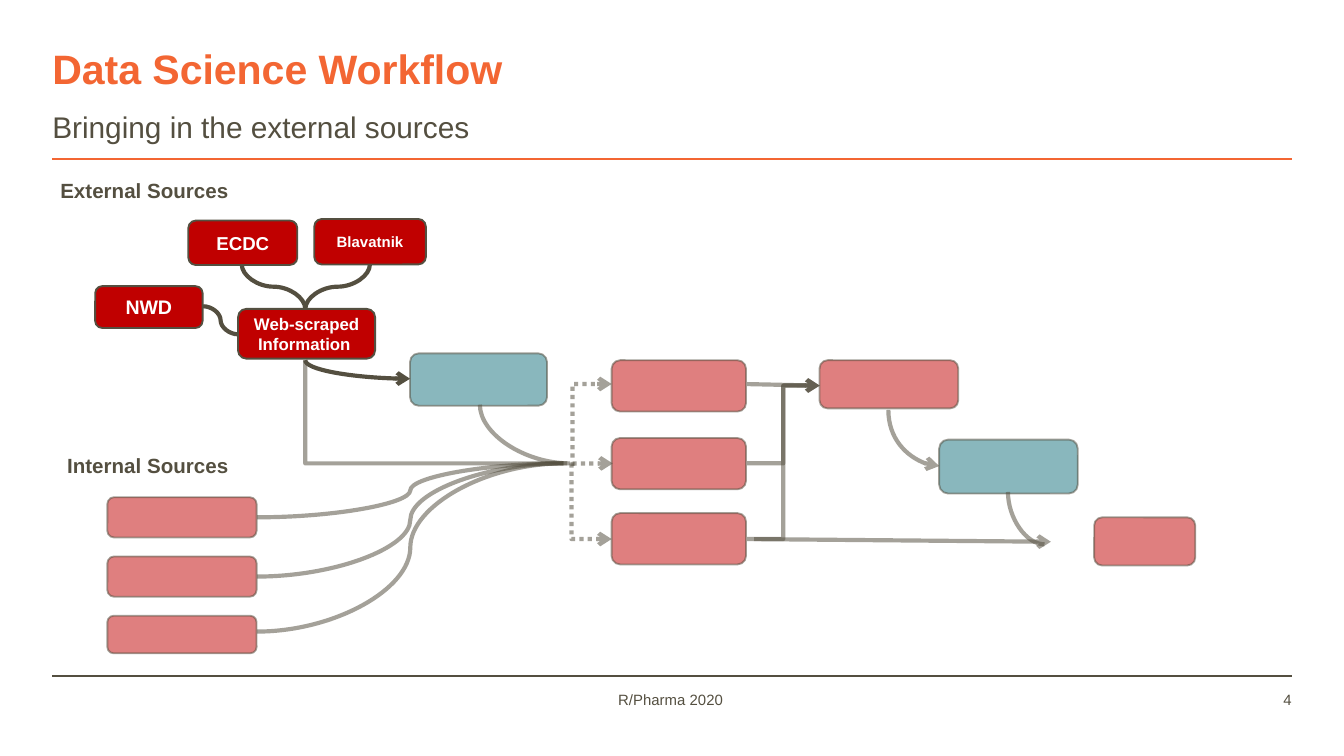
from lxml import etree
from pptx import Presentation
from pptx import util as u
from pptx.dml.color import RGBColor
from pptx.enum import dml, shapes, text
from pptx.oxml import ns

ORANGE, OLIVE, RED, TEAL, WHITE = "F36633", "544F40", "C00000", "15717D", "FFFFFF"
LEFT, MIDDLE, RIGHT = text.PP_ALIGN.LEFT, text.PP_ALIGN.CENTER, text.PP_ALIGN.RIGHT


def paint(fill, color, opacity=100):
    fill.solid()
    fill.fore_color.rgb = RGBColor.from_string(color)
    if opacity < 100:
        rgb = fill._xPr.find(".//" + ns.qn("a:srgbClr"))
        etree.SubElement(rgb, ns.qn("a:alpha")).set("val", str(opacity * 1000))


def write(frame, words, size, color, bold, align, margins, anchor, wrap=True):
    sides = ("margin_left", "margin_top", "margin_right", "margin_bottom")
    layout = dict(zip(sides, map(u.Cm, margins)))
    layout.update(word_wrap=wrap, vertical_anchor=anchor)
    for name, value in layout.items():
        setattr(frame, name, value)
    paragraph = frame.paragraphs[0]
    paragraph.text = words
    paragraph.alignment = align
    for name, value in {"name": "Arial", "size": u.Pt(size), "bold": bold}.items():
        setattr(paragraph.runs[0].font, name, value)
    paint(paragraph.runs[0].font.fill, color)


deck = Presentation()
deck.slide_width, deck.slide_height = u.Cm(25.4), u.Cm(14.29)
slide = deck.slides.add_slide(deck.slide_layouts[6])

# Title, subtitle, footer and group labels
TOP, CENTRE = text.MSO_ANCHOR.TOP, text.MSO_ANCHOR.MIDDLE
flush, subtitle, footer = (0, 0, 0, 0), (0, 0.13, 0.25, 0.13), (0.2, 0, 0.2, 0)
page, label = (0.2, 0, 0, 0), (0.25, 0.13, 0.25, 0.13)
for place, words, size, color, bold, align, margins, anchor, wrap in [
    ((0.99, 0.81, 21.06, 0.94), "Data Science Workflow", 22, ORANGE, True, LEFT, flush, CENTRE, True),
    ((0.99, 1.93, 21.06, 0.76), "Bringing in the external sources", 16, OLIVE, False, LEFT, subtitle, TOP, True),
    ((8.28, 13.06, 8.79, 0.76), "R/Pharma 2020", 8, OLIVE, False, MIDDLE, footer, TOP, True),
    ((22.1, 13.06, 2.31, 0.76), "4", 8, OLIVE, False, RIGHT, page, TOP, True),
    ((0.89, 3.23, 3.84, 0.74), "External Sources", 11, OLIVE, True, LEFT, label, TOP, False),
    ((1.02, 8.43, 3.58, 0.74), "Internal Sources", 11, OLIVE, True, LEFT, label, TOP, False),
]:
    caption = slide.shapes.add_textbox(*map(u.Cm, place))
    write(caption.text_frame, words, size, color, bold, align, margins, anchor, wrap)

# Workflow boxes: the highlighted sources carry a name, the others are faded
steps = [
    (4.5, 5.84, 2.59, 0.94, RED, "Web-scraped Information ", 9),
    (3.56, 4.17, 2.06, 0.84, RED, "ECDC", 10),
    (5.94, 4.14, 2.11, 0.86, RED, "Blavatnik", 8),
    (1.8, 5.41, 2.03, 0.79, RED, "NWD", 10.5),
    (7.75, 6.68, 2.59, 0.99, TEAL, "", 0),
    (17.75, 8.31, 2.62, 1.02, TEAL, "", 0),
    (15.49, 6.81, 2.62, 0.91, RED, "", 0),
    (20.68, 9.78, 1.91, 0.91, RED, "", 0),
]
steps += [(2.03, 9.4 + 1.12 * row, 2.82, height, RED, "", 0)
          for row, height in enumerate((0.76, 0.76, 0.71))]
steps += [(11.56, top, 2.54, 0.97, RED, "", 0) for top in (6.81, 8.28, 9.7)]
for *place, color, name, size in steps:
    step = slide.shapes.add_shape(shapes.MSO_SHAPE.ROUNDED_RECTANGLE, *map(u.Cm, place))
    step.shadow.inherit = False
    paint(step.fill, color, 100 if name else 50)
    paint(step.line.fill, OLIVE, 100 if name else 52)
    step.line.width = u.Pt(1)
    if name:
        write(step.text_frame, name, size, WHITE, True, MIDDLE, (0.2,) * 4, CENTRE)

# Links: from x, y, to x, y, geometry, starts vertically, arrow, dotted, opacity, width, colour
faded, solid = (52, 2.25, OLIVE), (100, 2.25, OLIVE)
links = [
    (0.99, 12.78, 24.41, 12.78, "line", False, False, False, 100, 1, OLIVE),
    (0.99, 3, 24.41, 3, "line", False, False, False, 100, 1, ORANGE),
    # Gathering the sources
    (5.77, 6.81, 10.72, 8.76, "bentConnector2", True, False, False, *faded),
    (9.07, 7.65, 10.77, 8.76, "curvedConnector2", True, False, False, *faded),
    # Spreading to the three middle steps
    (10.82, 8.81, 11.56, 7.26, "bentConnector2", True, True, True, *faded),
    (10.8, 8.76, 11.56, 10.19, "bentConnector2", True, True, True, *faded),
    (10.82, 8.76, 11.58, 8.76, "line", False, True, True, *faded),
    # Merging into the results
    (14.12, 10.19, 15.49, 7.29, "bentConnector3", False, True, False, *faded),
    (14.12, 8.76, 15.49, 7.29, "bentConnector3", False, True, False, *faded),
    (14.12, 7.26, 15.49, 7.29, "line", False, True, False, *faded),
    (16.79, 7.75, 17.75, 8.81, "curvedConnector2", True, True, False, *faded),
    (19.05, 9.3, 19.74, 10.29, "curvedConnector2", True, False, False, *faded),
    (14.25, 10.19, 19.86, 10.24, "line", False, True, False, *faded),
    # Web scraping
    (6.99, 5, 5.77, 5.84, "curvedConnector3", True, False, False, *solid),
    (4.57, 5, 5.77, 5.84, "curvedConnector3", True, False, False, *solid),
    (3.84, 5.79, 4.5, 6.32, "curvedConnector3", False, False, False, *solid),
    (5.77, 6.81, 7.75, 7.16, "curvedConnector2", True, True, False, *solid),
]
links += [(4.86, y, 10.65, 8.76, "curvedConnector3", False, False, False, *faded)
          for y in (9.78, 10.9, 11.94)]
kinds = {"l": shapes.MSO_CONNECTOR.STRAIGHT, "b": shapes.MSO_CONNECTOR.ELBOW,
         "c": shapes.MSO_CONNECTOR.CURVE}
for x1, y1, x2, y2, geometry, vertical, arrow, dotted, opacity, width, color in links:
    ends = (x1, y1, x2, y2)
    if vertical:  # a quarter turn swaps width and height about the centre
        mid_x, mid_y = (x1 + x2) / 2, (y1 + y2) / 2
        half_w, half_h = abs(y2 - y1) / 2, abs(x2 - x1) / 2
        ends = (mid_x - half_w, mid_y - half_h, mid_x + half_w, mid_y + half_h)
    link = slide.shapes.add_connector(kinds[geometry[0]], *map(u.Cm, ends))
    properties = link._element.spPr
    properties.find(ns.qn("a:prstGeom")).set("prst", geometry)
    if vertical:
        turn = properties.find(ns.qn("a:xfrm"))
        down, right = y2 > y1, x2 > x1
        turn.set("rot", "16200000" if down and right else "5400000")
        turn.set("flipH", str(int(right)))
        turn.set("flipV", str(int(not down)))
    paint(link.line.fill, color, opacity)
    link.line.width = u.Pt(width)
    if dotted:
        link.line.dash_style = dml.MSO_LINE.ROUND_DOT
    if arrow:
        etree.SubElement(properties.find(ns.qn("a:ln")), ns.qn("a:tailEnd")).set("type", "arrow")
    etree.SubElement(properties, ns.qn("a:effectLst"))

deck.save("out.pptx")
